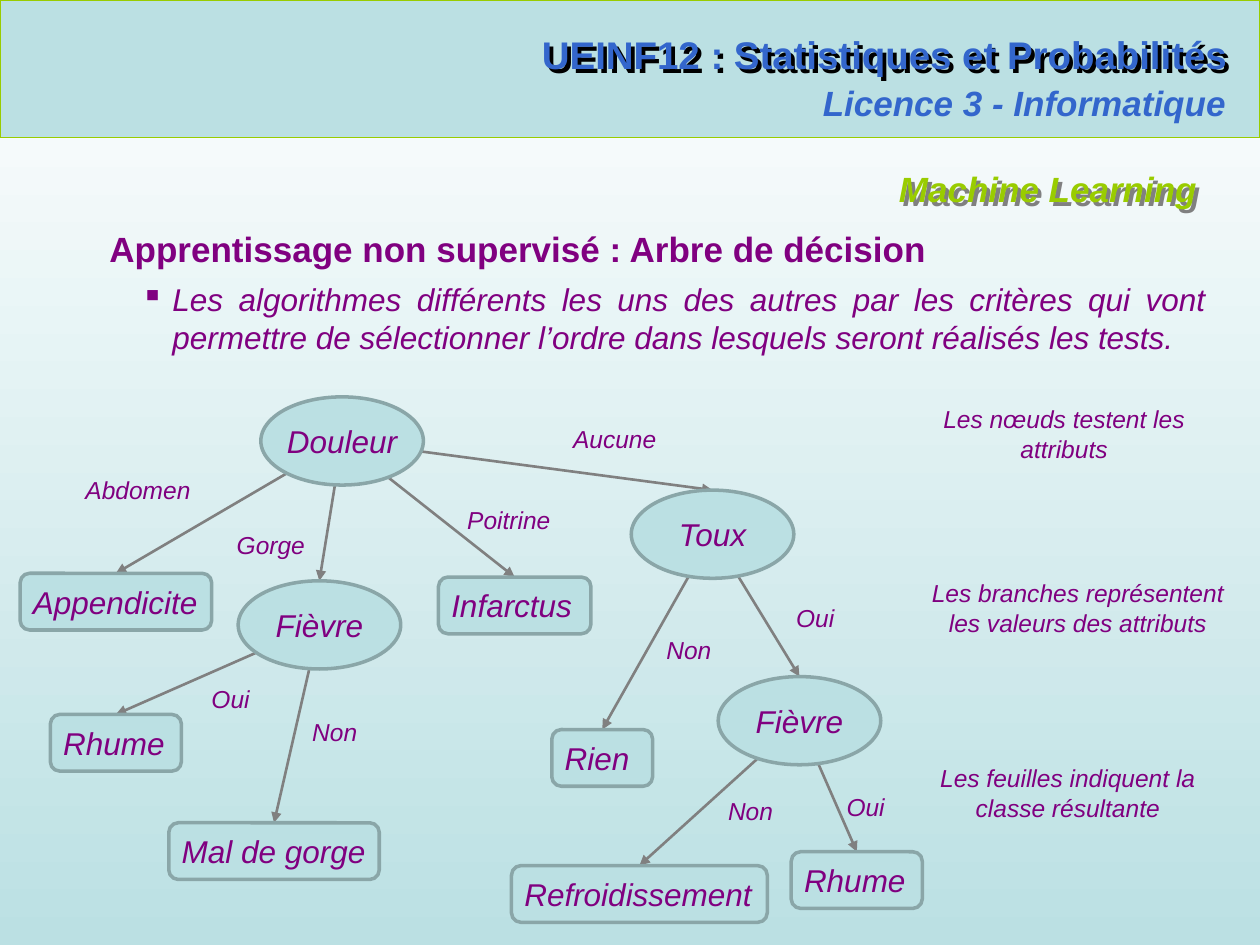
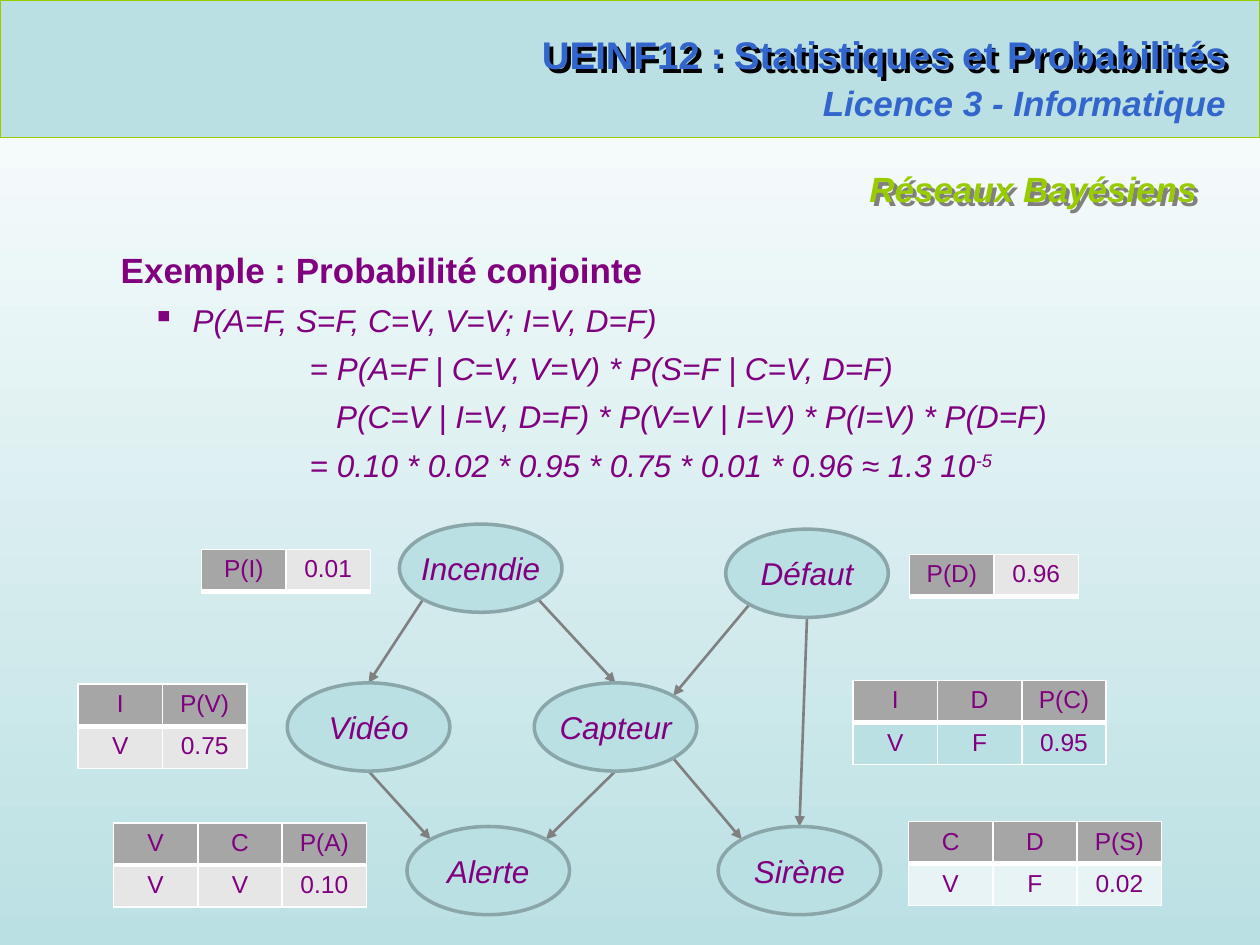
"""Builds two course slides: a decision tree and a Bayesian network."""
from dataclasses import dataclass

from lxml.etree import SubElement
from pptx import Presentation
from pptx.dml.color import RGBColor
from pptx.enum.shapes import MSO_CONNECTOR as Connector, MSO_SHAPE as Preset
from pptx.enum.text import MSO_ANCHOR as Anchor, MSO_AUTO_SIZE as AutoSize, PP_ALIGN as Align
from pptx.oxml.ns import qn
from pptx.util import Emu, Inches, Pt

COLUMNS, ROWS = 10, 7.5
UNIT = Inches(1)
BULLET_AT = 0.25
DIAGONAL = 0.71
FONT = "Arial"
COLORS = {
    "paper": "FFFFFF", "band": "BBE0E3", "accent": "99CC00", "course": "3366CC",
    "text": "800080", "edge": "808080", "rim": "8AA6A8", "course shadow": "000000",
    "header": "A6A6A6", "gray": "E6E6E6", "pale": "E7F3F4",
}


@dataclass
class Node:
    """A labelled node of a graph, placed on the grid."""
    label: str
    left: float
    top: float
    width: float = 1.29
    height: float = 0.7
    leaf: bool = False

    def at(self, dx, dy):
        """Return the point at shares dx, dy of the half extents from the centre."""
        return (self.left + self.width * (1 + dx) / 2,
                self.top + self.height * (1 + dy) / 2)


def leaf(label, left, top, width):
    """Return a leaf node."""
    return Node(label, left, top, width, 0.45, True)


def color(name):
    """Return a colour of the palette."""
    return RGBColor.from_string(COLORS[name])


def units(*lengths):
    """Convert grid units to slide lengths."""
    return [Emu(round(length * UNIT)) for length in lengths]


def style(paragraph, size, ink="text", bold=False, italic=True, align=Align.LEFT):
    """Format a whole paragraph."""
    font = paragraph.font
    font.name, font.size, font.bold, font.italic = FONT, Pt(size), bold, italic
    font.color.rgb = color(ink)
    paragraph.alignment = align


def add_effects(shape, shadow=None):
    """Give a shape an empty effect list or a slanted shadow."""
    effects = SubElement(shape._element.spPr, qn("a:effectLst"))
    if shadow:
        outer = SubElement(effects, qn("a:outerShdw"), dist=str(Pt(3)), dir="2700000", algn="ctr")
        SubElement(outer, qn("a:srgbClr"), val=COLORS[shadow])


def add_text(slide, text, place, size=14, wrap=False, **looks):
    """Add a text box with one paragraph."""
    box = slide.shapes.add_textbox(*units(*place))
    box.text_frame.word_wrap = wrap
    box.text_frame.text = text
    style(box.text_frame.paragraphs[0], size, **looks)
    return box


def add_line(slide, start, end, ink, width, arrow=False):
    """Add a straight line, with an arrowhead on request."""
    line = slide.shapes.add_connector(Connector.STRAIGHT, *units(*start, *end))
    line.line.color.rgb = color(ink)
    line.line.width = Pt(width)
    if arrow:
        SubElement(line.line._get_or_add_ln(), qn("a:tailEnd"), type="triangle")
    add_effects(line)


def add_panel(slide, preset, place, rim, width):
    """Add a shape in the band colour."""
    panel = slide.shapes.add_shape(preset, *units(*place))
    panel.shadow.inherit = False
    panel.fill.solid()
    panel.fill.fore_color.rgb = color("band")
    panel.line.color.rgb = color(rim)
    panel.line.width = Pt(width)
    return panel


def add_node(slide, node):
    """Draw a node: rounded for a leaf, oval otherwise."""
    preset = Preset.ROUNDED_RECTANGLE if node.leaf else Preset.OVAL
    place = node.left, node.top, node.width, node.height
    frame = add_panel(slide, preset, place, "rim", 2).text_frame
    frame.margin_left = Inches(0.08 if node.leaf else 0)
    frame.margin_right = frame.margin_top = frame.margin_bottom = 0
    frame.vertical_anchor = Anchor.MIDDLE
    frame.word_wrap = node.leaf
    frame.text = node.label
    style(frame.paragraphs[0], 18, align=Align.LEFT if node.leaf else Align.CENTER)


def add_edge(slide, start, end):
    """Add an arrow between two points."""
    add_line(slide, start, end, "edge", 1.5, arrow=True)


def add_body(slide, place, heading, lines):
    """Add a heading and indented lines; each line is (text, indent, bulleted)."""
    box = add_text(slide, heading, place, 20, True, bold=True, italic=False, align=Align.JUSTIFY)
    frame = box.text_frame
    frame.paragraphs[0].space_after = Pt(6)
    for text, indent, bulleted in lines:
        paragraph = frame.add_paragraph()
        paragraph.add_run().text = text
        style(paragraph, 18, align=Align.JUSTIFY)
        paragraph.space_after = Pt(6)
        props = paragraph._p.get_or_add_pPr()
        props.set("marL", str(Inches(indent)))
        if bulleted:
            props.set("indent", str(Inches(BULLET_AT - indent)))
            bullet = props.makeelement(qn("a:buChar"), {"char": "▪"})
            props.find(qn("a:defRPr")).addprevious(bullet)
    return frame


def add_borders(cell, top, bottom):
    """Draw white borders around a cell."""
    props = cell._tc.get_or_add_tcPr()
    for side, width in (("L", 1), ("R", 1), ("T", top), ("B", bottom)):
        line = SubElement(props, qn(f"a:ln{side}"), w=str(Pt(width)))
        fill = SubElement(line, qn("a:solidFill"))
        SubElement(fill, qn("a:srgbClr"), val=COLORS["paper"])


def add_probabilities(slide, left, top, rows, fills):
    """Add a probability table; fills gives the colour of every cell by row."""
    columns = len(rows[0])
    table = slide.shapes.add_table(
        len(rows), columns, *units(left, top, 0.67 * columns, 0.33 * len(rows))).table
    table.first_row = table.horz_banding = False
    for r, (values, row_fills) in enumerate(zip(rows, fills)):
        for c, (value, fill) in enumerate(zip(values, row_fills)):
            cell = table.cell(r, c)
            add_borders(cell, 3 if r else 1, 1 if r else 3)
            cell.fill.solid()
            cell.fill.fore_color.rgb = color(fill)
            cell.text = value
            style(cell.text_frame.paragraphs[0], 14, italic=False, align=Align.CENTER)


def add_course_slide(deck, topic):
    """Add a slide with the course band and its topic as title."""
    slide = deck.slides.add_slide(deck.slide_layouts[5])
    add_panel(slide, Preset.RECTANGLE, (0, 0, COLUMNS, 1.09), "accent", 0.75)
    course = add_text(slide, "UEINF12 : Statistiques et Probabilités", (4.04, 0.2, 5.8, 0.47),
                      22, True, ink="course", bold=True, italic=False, align=Align.RIGHT)
    add_effects(course, "course shadow")
    add_text(slide, "Licence 3 - Informatique", (6.03, 0.6, 3.8, 0.44),
             20, True, ink="course", bold=True, align=Align.RIGHT)
    add_line(slide, (0.34, 1.09), (9.76, 1.09), "accent", 0.75)
    title = slide.shapes.title
    title.left, title.top, title.width, title.height = units(2.17, 1.28, 7.43, 0.44)
    title.text_frame.text = topic
    title.text_frame.auto_size = AutoSize.NONE
    style(title.text_frame.paragraphs[0], 20, "accent", bold=True, align=Align.RIGHT)
    add_effects(title, "edge")
    return slide


def build_decision_tree(deck):
    """Build the decision tree slide."""
    slide = add_course_slide(deck, "Machine Learning")
    add_body(slide, (0.77, 1.76, 8.9, 1.13), "Apprentissage non supervisé : Arbre de décision", [
        ("Les algorithmes différents les uns des autres par les critères qui vont permettre de "
         "sélectionner l’ordre dans lesquels seront réalisés les tests.", 0.5, True)])
    pain, cough = Node("Douleur", 2.07, 3.15), Node("Toux", 5.01, 3.89)
    throat_fever, cough_fever = Node("Fièvre", 1.89, 4.61), Node("Fièvre", 5.7, 5.37)
    branches = [
        (pain, leaf("Appendicite", 0.16, 4.55, 1.52), "Abdomen", 0.58, 3.72),
        (pain, throat_fever, "Gorge", 1.78, 4.16),
        (pain, leaf("Infarctus", 3.48, 4.58, 1.21), "Poitrine", 3.61, 3.96),
        (pain, cough, "Aucune", 4.45, 3.32),
        (throat_fever, leaf("Rhume", 0.4, 5.67, 1.04), "Oui", 1.58, 5.38),
        (throat_fever, leaf("Mal de gorge", 1.34, 6.53, 1.67), "Non", 2.38, 5.64),
        (cough, leaf("Rien", 4.38, 5.79, 0.8), "Non", 5.19, 4.99),
        (cough, cough_fever, "Oui", 6.22, 4.74),
        (cough_fever, leaf("Refroidissement", 4.06, 6.87, 2.03), "Non", 5.68, 6.27),
        (cough_fever, leaf("Rhume", 6.28, 6.76, 1.04), "Oui", 6.62, 6.24),
    ]
    label_widths = {"Abdomen": 1.04, "Gorge": 0.75, "Poitrine": 0.87, "Aucune": 0.87,
                    "Oui": 0.51, "Non": 0.56}
    for parent, child, value, left, top in branches:
        add_edge(slide, parent.at(0, 0), child.at(0, -1))
        add_text(slide, value, (left, top, label_widths[value], 0.34))
    for node in [pain] + [branch[1] for branch in branches]:
        add_node(slide, node)
    for remark, left, top, width in (
            ("Les nœuds testent les attributs", 7.24, 3.16, 2.41),
            ("Les branches représentent les valeurs des attributs", 7.2, 4.54, 2.71),
            ("Les feuilles indiquent la classe résultante", 7.12, 6.01, 2.71)):
        add_text(slide, remark, (left, top, width, 0.57), wrap=True, align=Align.CENTER)


def build_bayesian_network(deck):
    """Build the Bayesian network slide."""
    slide = add_course_slide(deck, "Réseaux Bayésiens")
    formula = add_body(slide, (0.86, 1.92, 8.9, 1.99), "Exemple : Probabilité conjointe", [
        ("P(A=F, S=F, C=V, V=V; I=V, D=F)", 0.57, True),
        ("= P(A=F | C=V, V=V) * P(S=F | C=V, D=F)", 1.5, False),
        ("P(C=V | I=V, D=F) * P(V=V | I=V) * P(I=V) * P(D=F)", 1.71, False),
        ("= 0.10 * 0.02 * 0.95 * 0.75 * 0.01 * 0.96 ≈ 1.3 10", 1.5, False)])
    exponent = formula.paragraphs[-1].add_run()
    exponent.text = "-5"
    exponent._r.get_or_add_rPr().set("baseline", "30000")

    fire, fault = Node("Incendie", 3.17, 4.16), Node("Défaut", 5.76, 4.2)
    video, sensor = Node("Vidéo", 2.28, 5.42), Node("Capteur", 4.24, 5.42)
    alert, siren = Node("Alerte", 3.23, 6.56), Node("Sirène", 5.7, 6.56)
    top, bottom = (0, -1), (0, 1)
    top_left, top_right = (-DIAGONAL, -DIAGONAL), (DIAGONAL, -DIAGONAL)
    bottom_left, bottom_right = (-DIAGONAL, DIAGONAL), (DIAGONAL, DIAGONAL)
    for cause, leaving, effect, entering in (
            (fire, bottom_left, video, top), (fire, bottom_right, sensor, top),
            (fault, bottom_left, sensor, top_right), (fault, bottom, siren, top),
            (video, bottom, alert, top_left), (sensor, bottom, alert, top_right),
            (sensor, bottom_right, siren, top_left)):
        add_edge(slide, cause.at(*leaving), effect.at(*entering))
    for node in (fire, fault, video, sensor, alert, siren):
        add_node(slide, node)

    for left, upper, name, value in ((1.6, 4.36, "P(I)", "0.01"), (7.22, 4.4, "P(D)", "0.96")):
        add_probabilities(slide, left, upper, [(name, value)], [("header", "gray")])
    for left, upper, names, values, fill in (
            (0.62, 5.43, ("I", "P(V)"), ("V", "0.75"), "gray"),
            (6.77, 5.4, ("I", "D", "P(C)"), ("V", "F", "0.95"), "band"),
            (0.9, 6.53, ("V", "C", "P(A)"), ("V", "V", "0.10"), "gray"),
            (7.21, 6.52, ("C", "D", "P(S)"), ("V", "F", "0.02"), "pale")):
        fills = [[shade] * len(names) for shade in ("header", fill)]
        add_probabilities(slide, left, upper, [names, values], fills)


def main():
    """Build and save the presentation."""
    deck = Presentation()
    deck.slide_width, deck.slide_height = units(COLUMNS, ROWS)
    backdrop = deck.slide_master.background.fill
    backdrop.gradient()
    backdrop.gradient_angle = 270
    for stop, position, name in zip(backdrop.gradient_stops, (0, 1), ("paper", "band")):
        stop.position = position
        stop.color.rgb = color(name)
    build_decision_tree(deck)
    build_bayesian_network(deck)
    deck.save("out.pptx")


if __name__ == "__main__":
    main()
